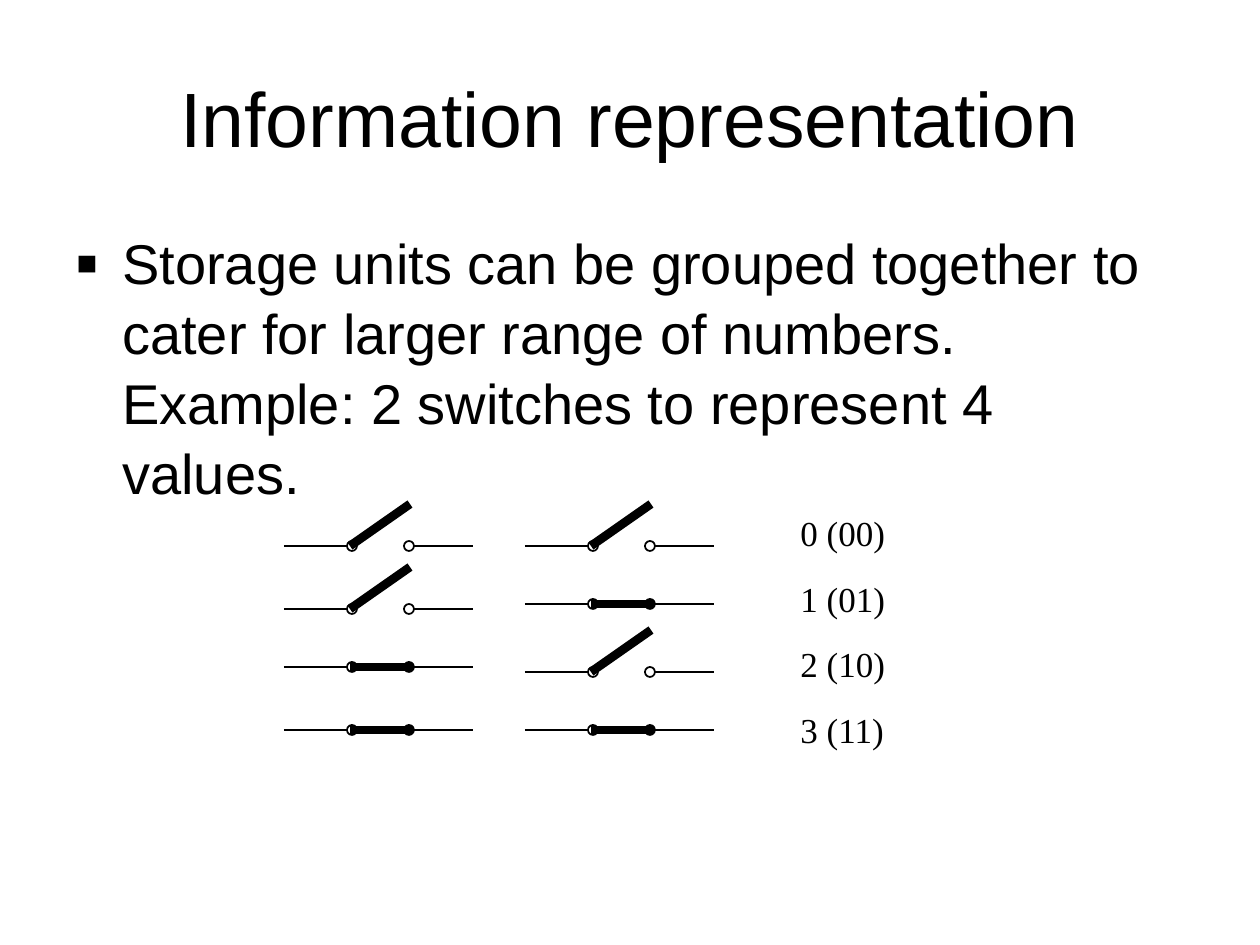
from lxml import etree
from pptx import Presentation
from pptx.dml.color import RGBColor
from pptx.enum.shapes import MSO_CONNECTOR, MSO_SHAPE
from pptx.enum.text import MSO_ANCHOR, PP_ALIGN
from pptx.oxml.ns import qn
from pptx.util import Pt

PX = 914400 / 126
STRAIGHT, OVAL = MSO_CONNECTOR.STRAIGHT, MSO_SHAPE.OVAL
LEFT, CENTER = PP_ALIGN.LEFT, PP_ALIGN.CENTER
TOP, MIDDLE = MSO_ANCHOR.TOP, MSO_ANCHOR.MIDDLE
COLORS = {"ink": "000000", "paper": "FFFFFF"}
INK = RGBColor.from_string(COLORS["ink"])
PAPER = RGBColor.from_string(COLORS["paper"])


def px(*lengths):
    return [round(length * PX) for length in lengths]


def write(holder, lines, size, font="Arial", align=LEFT, anchor=TOP,
          before=0, spacing=1.0):
    frame = holder.text_frame
    frame.word_wrap = True
    frame.vertical_anchor = anchor
    frame.text = "\n".join(lines)
    for paragraph in frame.paragraphs:
        paragraph.alignment = align
        paragraph.space_before = Pt(before)
        paragraph.line_spacing = spacing
        paragraph.font.size = Pt(size)
        paragraph.font.name = font
        paragraph.font.color.rgb = INK


prs = Presentation()
prs.slide_width, prs.slide_height = px(1260, 945)
slide = prs.slides.add_slide(prs.slide_layouts[5])

# Title and statement
title = slide.shapes.title
title.left, title.top, title.width, title.height = px(63, 38, 1134, 157)
write(title, ["Information representation"], 44, align=CENTER, anchor=MIDDLE)

statement = slide.shapes.add_textbox(*px(63, 220, 1134, 624))
write(statement, ["Storage units can be grouped together to cater for larger "
                  "range of numbers. Example: 2 switches to represent 4 values."],
      32, before=8, spacing=1.04)
bullet = statement.text_frame.paragraphs[0]._p.get_or_add_pPr()
indent = px(47)[0]
bullet.set("marL", str(indent))
bullet.set("indent", str(-indent))
etree.SubElement(bullet, qn("a:buSzPct")).set("val", "120000")
etree.SubElement(bullet, qn("a:buFont")).set("typeface", "Arial")
etree.SubElement(bullet, qn("a:buChar")).set("char", "▪")

# One row of two switches for each value: bit 0 is open, bit 1 is closed
values = ["00", "01", "10", "11"]
for row, bits in enumerate(values):
    for left, bit in zip((284, 525), bits):
        closed = bit == "1"
        wire_y = 546 + 63 * row - (5 if closed else 0)
        switch = slide.shapes.add_group_shape().shapes
        lever = (66, 129, 0, 5) if closed else (66, 126, 42, 5)
        wires = [(0, 63, 0, 1), (126, 189, 0, 1)]

        for start, end, rise, weight in wires + [lever]:
            if weight > 1:
                for contact_x in (63, 120):
                    contact = switch.add_shape(
                        OVAL, *px(left + contact_x, wire_y - 5, 10, 10))
                    contact.shadow.inherit = False
                    contact.fill.solid()
                    contact.fill.fore_color.rgb = PAPER
                    contact.line.color.rgb = INK
                    contact.line.width = Pt(1)
            line = switch.add_connector(
                STRAIGHT, *px(left + start, wire_y, left + end, wire_y - rise))
            line.line.color.rgb = INK
            line.line.width = Pt(weight)
            etree.SubElement(line._element.spPr, qn("a:effectLst"))

labels = slide.shapes.add_textbox(*px(788, 504, 164, 247))
write(labels, [f"{number} ({bits})" for number, bits in enumerate(values)],
      20, font="Times New Roman", before=12.5, spacing=1.04)

prs.save("out.pptx")
